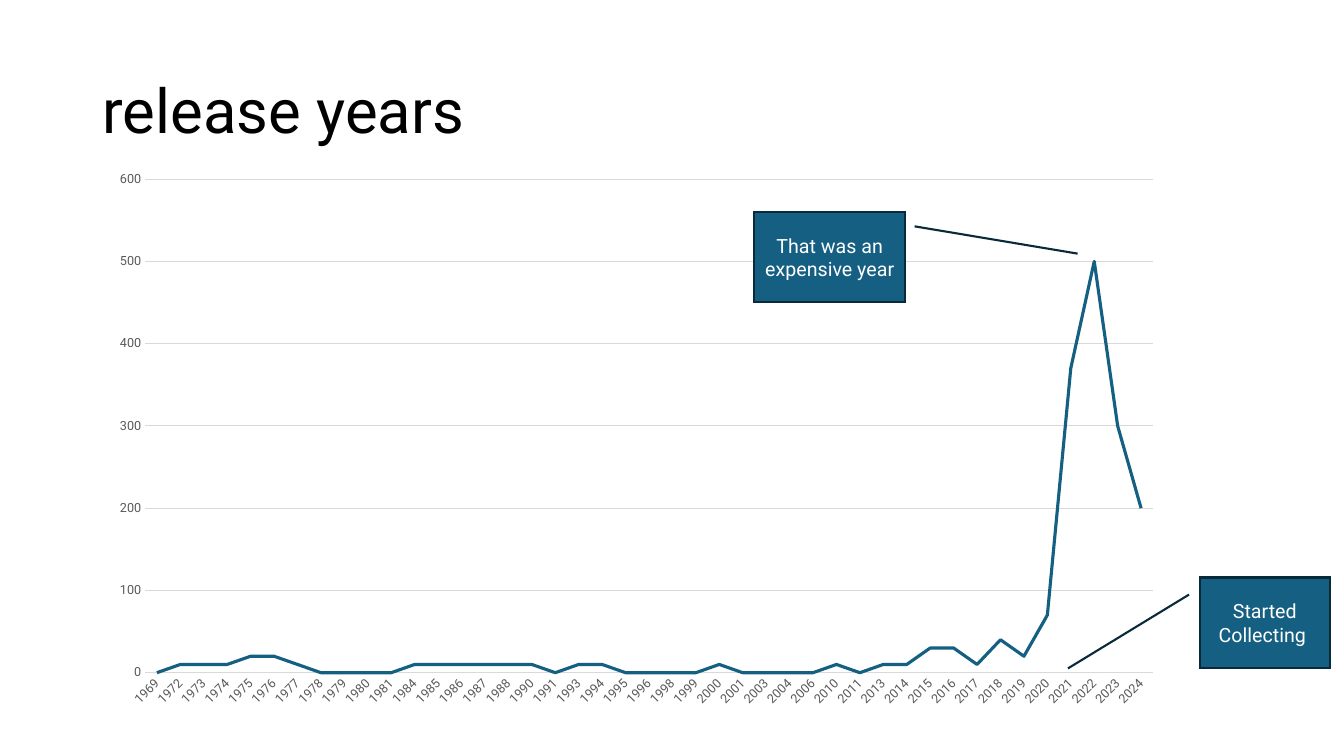
import lxml.etree
import pptx
import pptx.chart.data
import pptx.dml.color
import pptx.enum.chart
import pptx.enum.shapes
import pptx.enum.text
import pptx.oxml
import pptx.oxml.ns
import pptx.util

RELEASES = {
    1969: 0, 1972: 10, 1973: 10, 1974: 10, 1975: 20, 1976: 20, 1977: 10,
    1978: 0, 1979: 0, 1980: 0, 1981: 0, 1984: 10, 1985: 10, 1986: 10,
    1987: 10, 1988: 10, 1990: 10, 1991: 0, 1993: 10, 1994: 10, 1995: 0,
    1996: 0, 1998: 0, 1999: 0, 2000: 10, 2001: 0, 2003: 0, 2004: 0,
    2006: 0, 2010: 10, 2011: 0, 2013: 10, 2014: 10, 2015: 30, 2016: 30,
    2017: 10, 2018: 40, 2019: 20, 2020: 70, 2021: 370, 2022: 500,
    2023: 300, 2024: 200,
}
CALLOUTS = [
    ("Started Collecting ", (1190, 573, 129, 90), (0.188, -0.083, 1.002, -1.014)),
    ("That was an expensive year", (748, 210, 150, 90), (0.162, 1.061, 0.463, 2.139)),
]
PLOT_AREA = {"x": 0.05, "y": 0.025, "w": 0.942, "h": 0.892}


def px(length):
    return pptx.util.Emu(length * 9144)


def color(value):
    return pptx.dml.color.RGBColor.from_string(value)


def assign(target, values):
    for name, value in values.items():
        setattr(target, name, value)


class SlideBuilder:
    """Holds the style and the current slide, and adds each kind of element."""

    font_name = "Roboto"
    accent = "156082"
    accent_dark = "092A39"
    grid = "D9D9D9"
    label = "595959"

    def __init__(self, slide):
        self.slide = slide

    def font(self, font, size, value):
        assign(font, {"name": self.font_name, "size": pptx.util.Pt(size)})
        font.color.rgb = color(value)

    def line(self, line, value, width):
        line.color.rgb = color(value)
        line.width = pptx.util.Pt(width)

    def text(self, shape, text, size, value, paragraph_format):
        assign(shape.text_frame, {
            "word_wrap": True,
            "vertical_anchor": pptx.enum.text.MSO_ANCHOR.MIDDLE,
        })
        paragraph = shape.text_frame.paragraphs[0]
        assign(paragraph, paragraph_format)
        run = paragraph.add_run()
        run.text = text
        self.font(run.font, size, value)

    def title(self, text, box):
        shape = self.slide.shapes.add_textbox(*map(px, box))
        self.text(shape, text, 44, "000000", {"line_spacing": 0.9})

    def callout(self, text, box, pointer):
        shape = self.slide.shapes.add_shape(
            pptx.enum.shapes.MSO_SHAPE.LINE_CALLOUT_1, *map(px, box))
        for index, value in enumerate(pointer):
            shape.adjustments[index] = value
        shape.shadow.inherit = False
        shape.fill.solid()
        shape.fill.fore_color.rgb = color(self.accent)
        self.line(shape.line, self.accent_dark, 1.5)
        outline = shape.element.spPr.find(pptx.oxml.ns.qn("a:ln"))
        lxml.etree.SubElement(outline, pptx.oxml.ns.qn("a:miter")).set("lim", "800000")
        self.text(shape, text, 14, "FFFFFF",
                  {"alignment": pptx.enum.text.PP_ALIGN.CENTER})

    def axis(self, axis, values):
        assign(axis, {
            "major_tick_mark": pptx.enum.chart.XL_TICK_MARK.NONE,
            "minor_tick_mark": pptx.enum.chart.XL_TICK_MARK.NONE,
            **values,
        })
        self.font(axis.tick_labels.font, 9, self.label)

    def plot_layout(self, chart, area):
        qn = pptx.oxml.ns.qn
        plot_area = chart.element.find(".//" + qn("c:plotArea"))
        for old_layout in plot_area.findall(qn("c:layout")):
            plot_area.remove(old_layout)
        layout = lxml.etree.Element(qn("c:layout"))
        manual = lxml.etree.SubElement(layout, qn("c:manualLayout"))
        settings = {"layoutTarget": "inner", "xMode": "edge", "yMode": "edge", **area}
        for name, value in settings.items():
            lxml.etree.SubElement(manual, qn("c:" + name)).set("val", str(value))
        plot_area.insert(0, layout)

    def line_chart(self, values, box):
        data = pptx.chart.data.CategoryChartData()
        data.categories = [str(year) for year in values]
        data.add_series("Series 1", list(values.values()))
        chart = self.slide.shapes.add_chart(
            pptx.enum.chart.XL_CHART_TYPE.LINE, *map(px, box), data).chart
        assign(chart, {"has_legend": False, "has_title": False})
        self.font(chart.font, 10, "000000")
        self.axis(chart.category_axis, {"has_major_gridlines": False})
        self.line(chart.category_axis.format.line, self.grid, 0.75)
        body = chart.category_axis._element.find(".//" + pptx.oxml.ns.qn("a:bodyPr"))
        body.set("rot", "-2700000")
        self.axis(chart.value_axis, {
            "has_major_gridlines": True,
            "minimum_scale": 0,
            "maximum_scale": 600,
            "major_unit": 100,
        })
        chart.value_axis.format.line.fill.background()
        self.line(chart.value_axis.major_gridlines.format.line, self.grid, 0.75)
        plot = chart.plots[0]
        plot.vary_by_categories = False
        series = plot.series[0]
        series.smooth = False
        series.marker.style = pptx.enum.chart.XL_MARKER_STYLE.NONE
        self.line(series.format.line, self.accent, 2.25)
        self.plot_layout(chart, PLOT_AREA)


def main():
    presentation = pptx.Presentation()
    assign(presentation, {"slide_width": px(1333), "slide_height": px(750)})
    slide = presentation.slides.add_slide(presentation.slide_layouts[6])
    builder = SlideBuilder(slide)
    builder.line_chart(RELEASES, (91, 164, 1061, 549))
    builder.title("release years", (92, 40, 1150, 145))
    for text, box, pointer in CALLOUTS:
        builder.callout(text, box, pointer)
    presentation.save("out.pptx")


if __name__ == "__main__":
    main()
